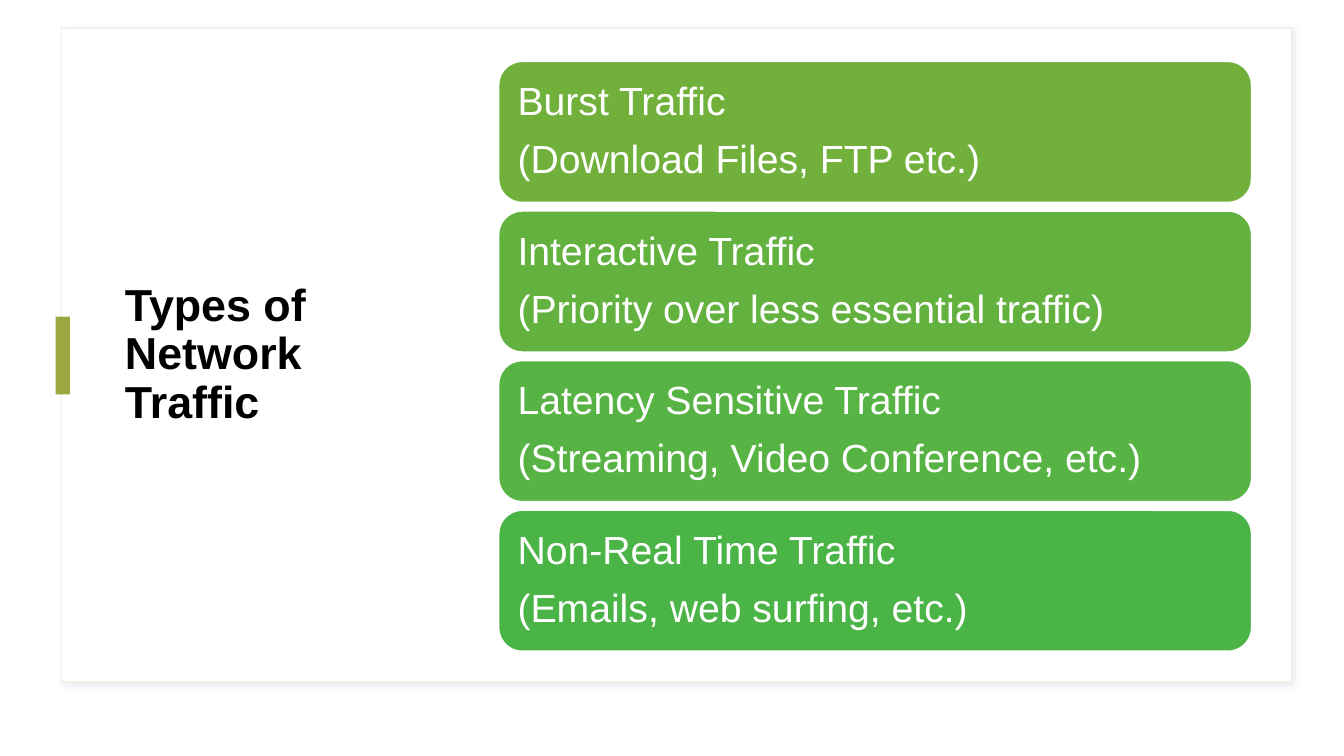
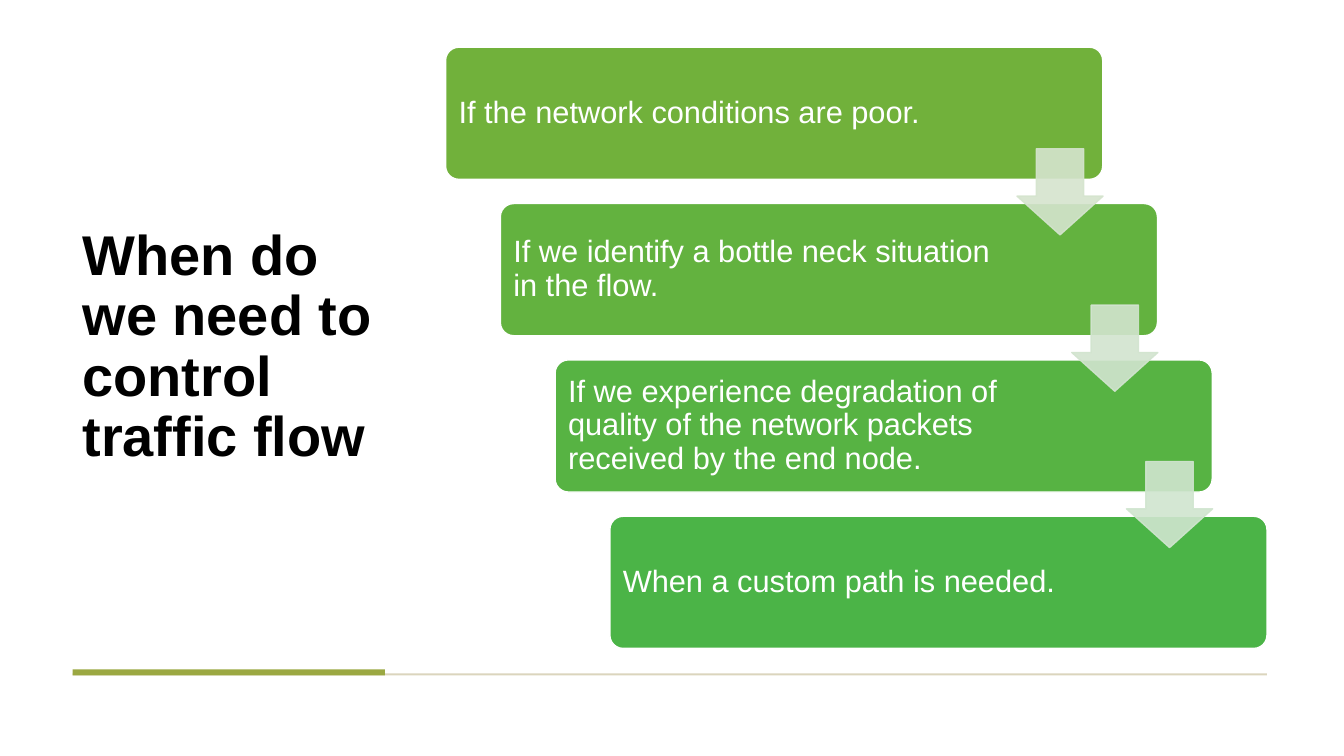
from dataclasses import dataclass

from lxml.etree import SubElement
from pptx import Presentation
from pptx.dml.color import RGBColor
from pptx.enum.shapes import MSO_SHAPE
from pptx.enum.text import MSO_ANCHOR, PP_ALIGN
from pptx.oxml.ns import qn
from pptx.util import Cm, Pt


# Theme
@dataclass(frozen=True)
class Theme:
    font: str = "Arial"
    title_ink: str = "000000"
    paper: str = "FFFFFF"
    olive: str = "9BA842"
    rule: str = "DBD5BD"
    frame_line: str = "F0EEE5"
    frame_shadow: str = "C7C4D0"
    greens: tuple = ("71B13B", "63B23F", "57B343", "4BB447")
    arrows: tuple = ("D5E4CE", "D2E4CF", "D0E5CF")
    title_small: int = 32
    title_large: int = 40
    card_size: int = 28
    step_size: int = 22
    line_spacing: float = 0.9


THEME = Theme()

# Content
TYPES_TITLE = "Types of Network Traffic"
TRAFFIC_TYPES = [
    ("Burst Traffic", "(Download Files, FTP etc.)"),
    ("Interactive Traffic", "(Priority over less essential traffic)"),
    ("Latency Sensitive Traffic", "(Streaming, Video Conference, etc.)"),
    ("Non-Real Time Traffic", "(Emails, web surfing, etc.)"),
]
CONTROL_TITLE = "When do we need to control traffic flow"
CONTROL_REASONS = [
    "If the network conditions are poor.",
    "If we identify a bottle neck situation in the flow.",
    "If we experience degradation of quality of the network packets "
    "received by the end node.",
    "When a custom path is needed.",
]


# Shared drawing helpers; every area is (left, top, width, height) in cm
def add_alpha(color_format_parent, percent):
    for color in color_format_parent.iter(qn("a:srgbClr")):
        SubElement(color, qn("a:alpha"), val=str(percent * 1000))


def add_block(page, kind, area, fill, line=None, line_width=1):
    block = page.shapes.add_shape(kind, *map(Cm, area))
    block.shadow.inherit = False
    block.fill.solid()
    block.fill.fore_color.rgb = RGBColor.from_string(fill)
    if line:
        block.line.color.rgb = RGBColor.from_string(line)
        block.line.width = Pt(line_width)
    else:
        block.line.fill.background()
    return block


def write_text(box, lines, size, color, bold=False, inset=None, right_inset=None):
    frame = box.text_frame
    frame.word_wrap = True
    frame.vertical_anchor = MSO_ANCHOR.MIDDLE
    if inset is not None:
        frame.margin_left = frame.margin_top = frame.margin_bottom = Cm(inset)
        frame.margin_right = Cm(inset if right_inset is None else right_inset)
    for index, text in enumerate(lines):
        para = frame.add_paragraph() if index else frame.paragraphs[0]
        para.alignment = PP_ALIGN.LEFT
        para.line_spacing = THEME.line_spacing
        if index < len(lines) - 1:
            para.space_after = Pt(11)
        span = para.add_run()
        span.text = text
        span.font.name = THEME.font
        span.font.size = Pt(size)
        span.font.bold = bold
        span.font.color.rgb = RGBColor.from_string(color)


def add_page(deck, title, title_area, title_size):
    page = deck.slides.add_slide(deck.slide_layouts[6])
    page.background.fill.solid()
    page.background.fill.fore_color.rgb = RGBColor.from_string(THEME.paper)
    box = page.shapes.add_textbox(*map(Cm, title_area))
    write_text(box, [title], title_size, THEME.title_ink, bold=True)
    return page


def add_frame(page, area):
    frame = add_block(page, MSO_SHAPE.RECTANGLE, area, THEME.paper, THEME.frame_line)
    effects = frame.element.spPr.find(qn("a:effectLst"))
    shadow = SubElement(effects, qn("a:outerShdw"), blurRad=str(Pt(4)),
                        dist=str(Pt(3)), dir="2700000", algn="tl", rotWithShape="0")
    SubElement(shadow, qn("a:srgbClr"), val=THEME.frame_shadow)
    add_alpha(shadow, 30)
    # The frame lies behind the title
    page.shapes._spTree.remove(frame.element)
    page.shapes._spTree.insert(2, frame.element)


# Slide 1: stacked cards
def build_types(deck):
    page = add_page(deck, TYPES_TITLE, (2.9, 1.4, 8.31, 15.11), THEME.title_small)
    add_frame(page, (1.55, 0.71, 31.01, 16.48))
    add_block(page, MSO_SHAPE.RECTANGLE, (1.4, 7.98, 0.36, 1.96), THEME.olive)
    left, top, width, height, pitch = 12.57, 1.55, 18.97, 3.55, 3.77
    for index, (lines, green) in enumerate(zip(TRAFFIC_TYPES, THEME.greens)):
        card = add_block(page, MSO_SHAPE.ROUNDED_RECTANGLE,
                         (left, top + index * pitch, width, height),
                         green, THEME.paper)
        write_text(card, lines, THEME.card_size, THEME.paper, inset=0.3)


# Slide 2: staircase of reasons joined by arrows
def build_control(deck):
    page = add_page(deck, CONTROL_TITLE, (1.83, 1.19, 7.87, 15.16), THEME.title_large)
    add_block(page, MSO_SHAPE.RECTANGLE, (1.83, 16.97, 30.1, 0.05), THEME.rule)
    add_block(page, MSO_SHAPE.RECTANGLE, (1.83, 16.87, 7.87, 0.15), THEME.olive)
    left, top, width, height = 11.23, 1.19, 16.56, 3.33
    shift, pitch = 1.38, 3.94
    for index, (reason, green) in enumerate(zip(CONTROL_REASONS, THEME.greens)):
        step = add_block(page, MSO_SHAPE.ROUNDED_RECTANGLE,
                         (left + index * shift, top + index * pitch, width, height),
                         green, THEME.paper)
        step.adjustments[0] = 0.1
        write_text(step, [reason], THEME.step_size, THEME.paper,
                   inset=0.23, right_inset=3.79)
    arrow_left, arrow_top, arrow_size = 25.63, 3.75, 2.17
    for index, tint in enumerate(THEME.arrows):
        arrow = add_block(page, MSO_SHAPE.DOWN_ARROW,
                          (arrow_left + index * shift, arrow_top + index * pitch,
                           arrow_size, arrow_size), tint, tint)
        arrow.adjustments[0] = 0.55
        arrow.adjustments[1] = 0.45
        add_alpha(arrow.element.spPr, 90)


def main():
    deck = Presentation()
    deck.slide_width, deck.slide_height = Cm(33.87), Cm(19.05)
    build_types(deck)
    build_control(deck)
    deck.save("out.pptx")


if __name__ == "__main__":
    main()
